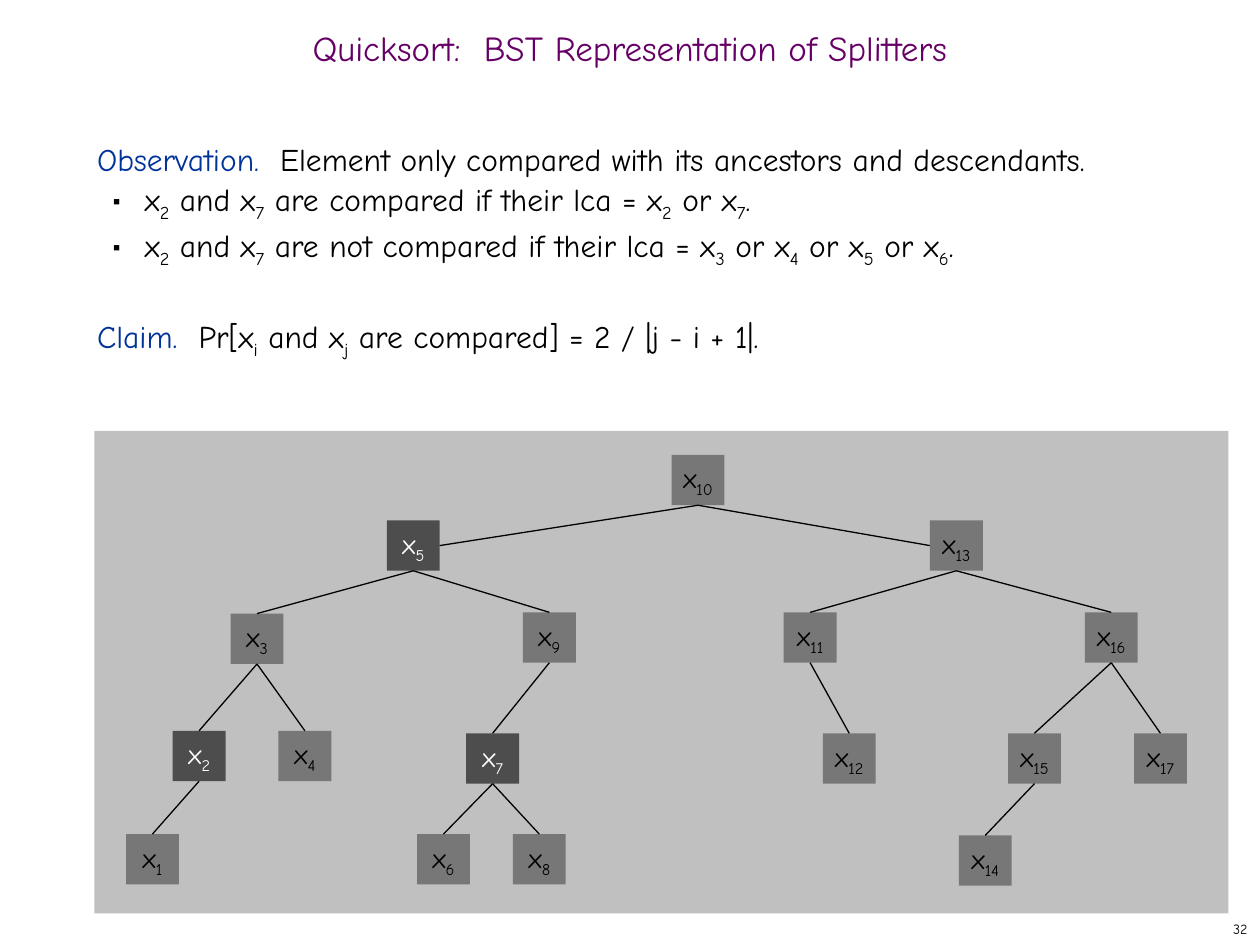
import pptx
import pptx.util
import pptx.dml.color
import pptx.enum.shapes
import pptx.enum.text
import pptx.oxml.ns
import lxml.etree

Inches, Pt = pptx.util.Inches, pptx.util.Pt
ALIGN = pptx.enum.text.PP_ALIGN
MIDDLE = pptx.enum.text.MSO_ANCHOR.MIDDLE
RECTANGLE = pptx.enum.shapes.MSO_SHAPE.RECTANGLE

FONT = "Comic Neue"
COLOURS = {
    "title": "660066", "lead": "003399", "text": "000000", "panel": "C0C0C0",
    "node": "777777", "marked": "4D4D4D", "marked text": "FFFFFF",
}

TITLE = "Quicksort:  BST Representation of Splitters"
PAGE_NUMBER = "32"
# SUBSCRIPTS
BODY = [
    ("Observation.  ", "Element only compared with its ancestors and descendants.", 0),
    ("", "x~2~ and x~7~ are compared if their lca = x~2~ or x~7~.", 0),
    ("", "x~2~ and x~7~ are not compared if their lca = x~3~ or x~4~ or x~5~ or x~6~.", 0),
    ("Claim.  ", "Pr[x~i~ and x~j~ are compared] = 2 / |j - i + 1|.", 26),
]
NODES = {
    10: (5.33, 3.61), 5: (3.07, 4.13), 13: (7.38, 4.13),
    3: (1.83, 4.87), 9: (4.15, 4.86), 11: (6.22, 4.86), 16: (8.61, 4.86),
    2: (1.37, 5.8), 4: (2.21, 5.8), 7: (3.7, 5.82),
    12: (6.53, 5.82), 15: (8, 5.82), 17: (9, 5.82),
    1: (1, 6.62), 6: (3.31, 6.62), 8: (4.07, 6.62), 14: (7.61, 6.63),
}
CHILDREN = {
    10: (5, 13), 5: (3, 9), 13: (11, 16), 3: (2, 4), 9: (7,), 11: (12,),
    16: (15, 17), 2: (1,), 7: (6, 8), 15: (14,),
}
MARKED = {2, 5, 7}
BOTTOM, TOP = 2, 0
SIDE_ENTRY = {5: 3, 13: 1}


def colour(name):
    return pptx.dml.color.RGBColor.from_string(COLOURS[name])


def place(shape, left, top, width, height):
    shape.left, shape.top = Inches(left), Inches(top)
    shape.width, shape.height = Inches(width), Inches(height)


def set_font(para, size, name):
    para.font.name = FONT
    para.font.size = Pt(size)
    para.font.color.rgb = colour(name)


def add_spans(para, text):
    for index, part in enumerate(text.split("~")):
        span = para.add_run()
        span.text = part
        if index % 2:
            span.font._element.set("baseline", "-25000")


def set_bullet(para, bulleted):
    props = para._p.get_or_add_pPr()
    props.set("marL", str(Inches(0.38 if bulleted else 0)))
    props.set("indent", str(Inches(-0.25 if bulleted else 0)))

    def add(parent, tag, **attributes):
        return lxml.etree.SubElement(parent, pptx.oxml.ns.qn(tag), **attributes)

    if bulleted:
        add(add(props, "a:buClr"), "a:srgbClr", val=COLOURS["text"])
        add(props, "a:buSzPct", val="35000")
        add(props, "a:buChar", char="■")
    else:
        add(props, "a:buNone")


def add_box(page, left, top, width, height, fill):
    box = page.shapes.add_shape(
        RECTANGLE, Inches(left), Inches(top), Inches(width), Inches(height))
    box.shadow.inherit = False
    box.fill.solid()
    box.fill.fore_color.rgb = colour(fill)
    box.line.fill.background()
    return box


def add_node(page, number):
    marked = number in MARKED
    box = add_box(page, *NODES[number], 0.42, 0.4, "marked" if marked else "node")
    box.text_frame.word_wrap = False
    box.text_frame.vertical_anchor = MIDDLE
    para = box.text_frame.paragraphs[0]
    para.alignment = ALIGN.CENTER
    set_font(para, 16, "marked text" if marked else "text")
    add_spans(para, f"x~{number}~")
    return box


def add_edge(page, parent, child, site):
    edge = page.shapes.add_connector(
        pptx.enum.shapes.MSO_CONNECTOR.STRAIGHT, 0, 0, 0, 0)
    edge.begin_connect(parent, BOTTOM)
    edge.end_connect(child, site)
    edge.line.color.rgb = colour("text")
    edge.line.width = Pt(0.75)
    lxml.etree.SubElement(edge._element.spPr, pptx.oxml.ns.qn("a:effectLst"))


def fill_title(title):
    place(title, 0, 0.17, 10, 0.5)
    frame = title.text_frame
    frame.text = TITLE
    frame.auto_size = pptx.enum.text.MSO_AUTO_SIZE.NONE
    frame.vertical_anchor = MIDDLE
    para = frame.paragraphs[0]
    para.alignment = ALIGN.CENTER
    para.line_spacing = 0.7
    set_font(para, 20, "title")


def fill_body(body):
    place(body, 0.67, 1, 9.08, 5.92)
    frame = body.text_frame
    frame.auto_size = pptx.enum.text.MSO_AUTO_SIZE.NONE
    for index, (lead, text, space) in enumerate(BODY):
        para = frame.add_paragraph() if index else frame.paragraphs[0]
        para.level = 0 if lead else 1
        para.line_spacing = Pt(26)
        para.space_before = Pt(space)
        set_bullet(para, not lead)
        set_font(para, 18, "text")
        if lead:
            span = para.add_run()
            span.text = lead
            span.font.color.rgb = colour("lead")
        add_spans(para, text)


def add_page_number(page):
    box = page.shapes.add_textbox(Inches(7.92), Inches(7.25), Inches(2.08), Inches(0.25))
    box.text_frame.word_wrap = True
    box.text_frame.vertical_anchor = MIDDLE
    para = box.text_frame.paragraphs[0]
    para.text = PAGE_NUMBER
    para.alignment = ALIGN.RIGHT
    set_font(para, 8, "text")


def main():
    deck = pptx.Presentation()
    deck.slide_width, deck.slide_height = Inches(10), Inches(7.5)
    page = deck.slides.add_slide(deck.slide_layouts[1])
    fill_title(page.shapes.title)
    fill_body(page.placeholders[1])
    add_page_number(page)
    add_box(page, 0.75, 3.42, 9, 3.83, "panel")
    boxes = {number: add_node(page, number) for number in NODES}
    for parent, children in CHILDREN.items():
        for child in children:
            add_edge(page, boxes[parent], boxes[child], SIDE_ENTRY.get(child, TOP))
    deck.save("out.pptx")


if __name__ == "__main__":
    main()
